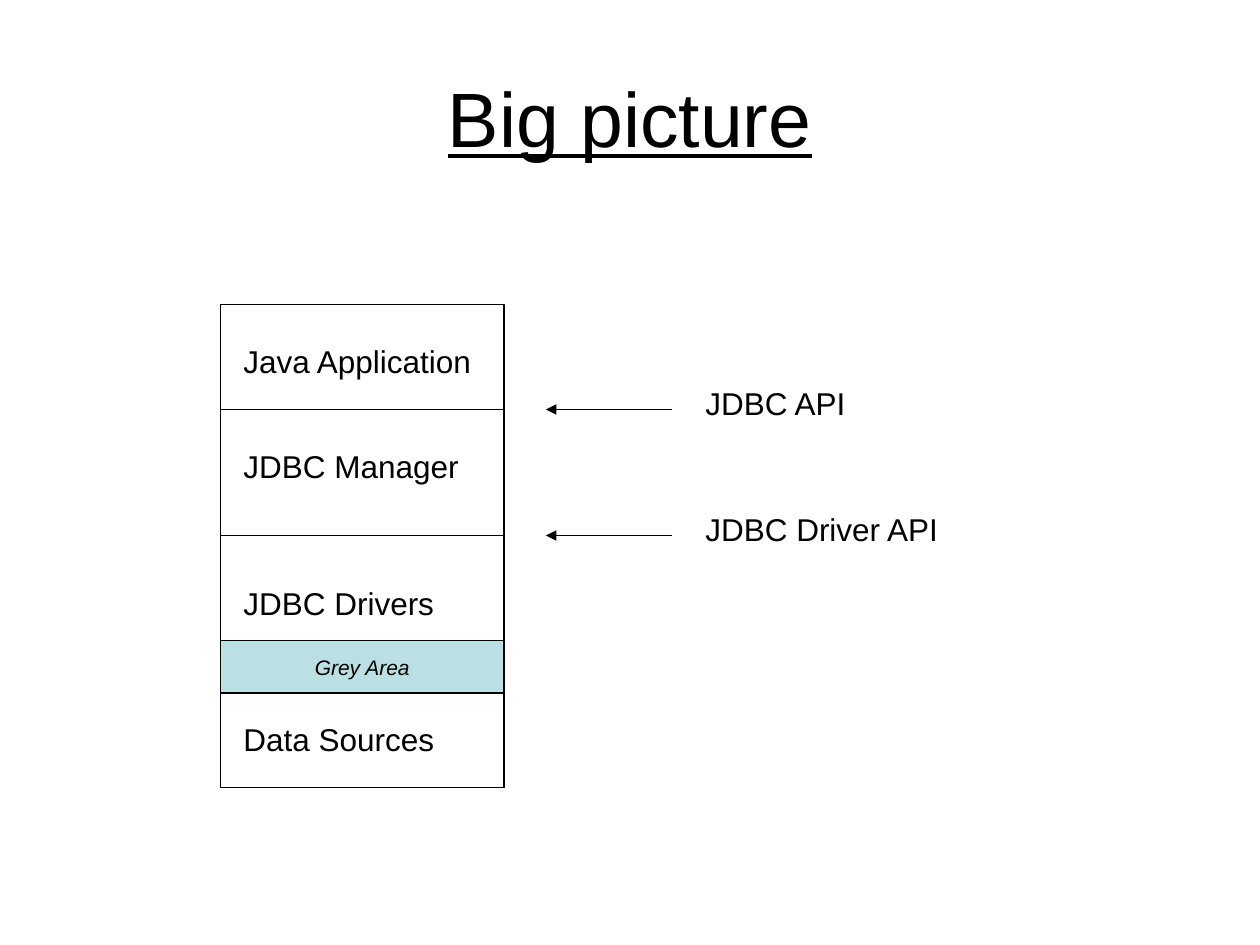
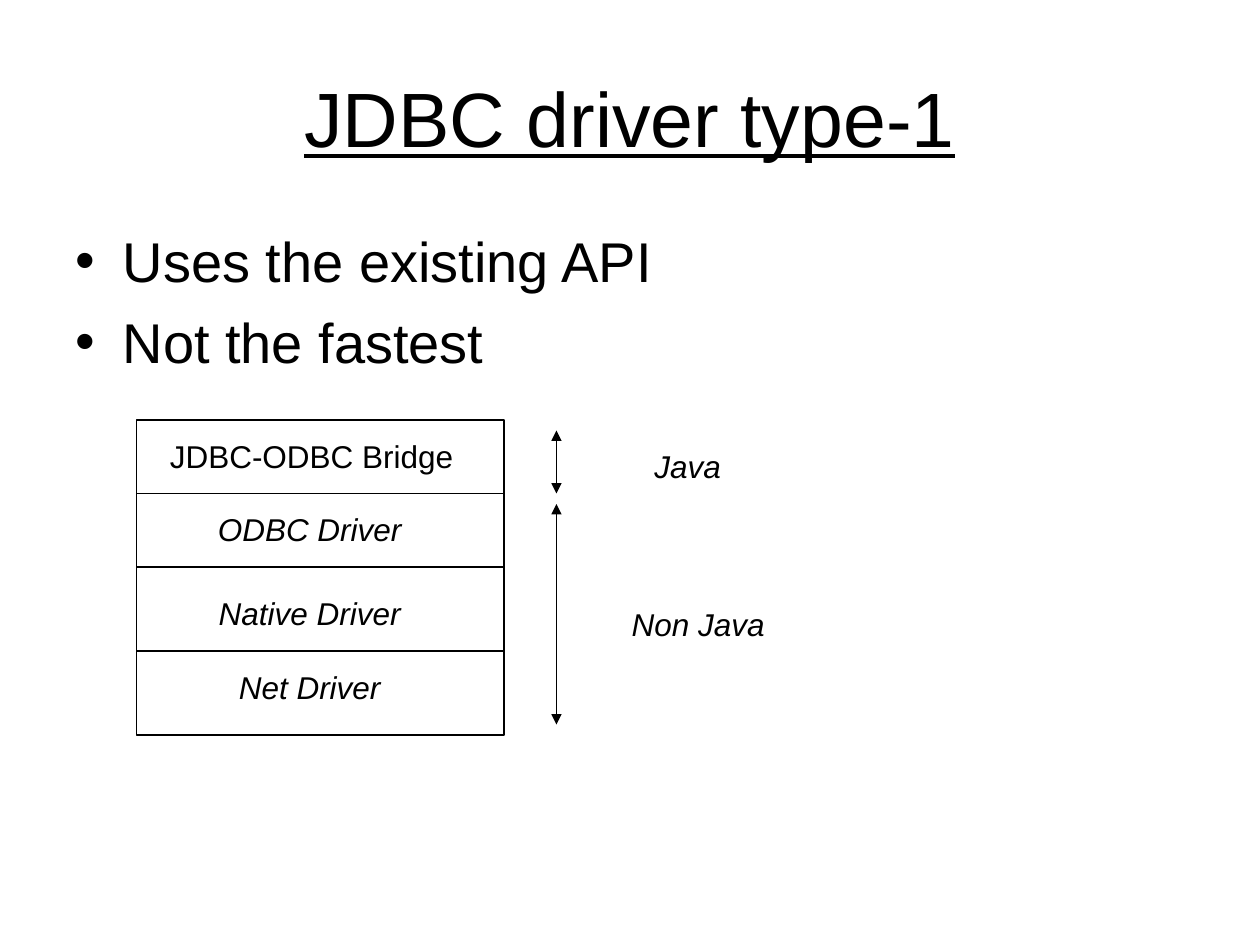
from dataclasses import dataclass

from lxml.etree import SubElement
from pptx import Presentation
from pptx.dml.color import RGBColor
from pptx.enum.shapes import MSO_CONNECTOR, MSO_SHAPE
from pptx.enum.text import MSO_ANCHOR, MSO_AUTO_SIZE, PP_ALIGN
from pptx.oxml.ns import qn
from pptx.shapes.autoshape import Shape
from pptx.slide import Slide
from pptx.text.text import TextFrame, _Paragraph
from pptx.util import Pt

COLORS = {"ink": "000000", "paper": "FFFFFF", "grey_area": "BBE0E3"}
FONT = "Arial"
LINE_WIDTH = 0.75
LABEL_HEIGHT = 28.8


@dataclass(frozen=True)
class Box:
    left: float
    top: float
    width: float
    height: float


@dataclass(frozen=True)
class Label:
    text: str
    left: float
    top: float
    width: float
    italic: bool = False
    align: PP_ALIGN = PP_ALIGN.LEFT


@dataclass(frozen=True)
class Line:
    x1: float
    y1: float
    x2: float
    y2: float
    head: bool = False
    tail: bool = False


TITLE_BOX = Box(36, 21.6, 648, 90)
BODY_BOX = Box(36, 126, 648, 356.4)

ARCHITECTURE = Box(126, 174, 162, 276)
GREY_AREA = Box(126, 366, 162, 30)
API_LEVELS = (234, 306)
ARCHITECTURE_LABELS = (
    Label("Java Application", 132, 192, 156),
    Label("JDBC Manager", 132, 252, 150),
    Label("JDBC Drivers", 132, 330, 156),
    Label("Data Sources", 132, 408, 138),
    Label("JDBC API", 396, 216, 186),
    Label("JDBC Driver API", 396, 288, 174),
)

DRIVER_STACK = Box(78, 240, 210, 180)
DRIVER_LEVELS = (282, 324, 372)
DRIVER_LABELS = (
    Label("JDBC-ODBC Bridge", 90, 246, 186),
    Label("ODBC Driver", 90, 288, 174, True, PP_ALIGN.CENTER),
    Label("Native Driver", 90, 336, 174, True, PP_ALIGN.CENTER),
    Label("Net Driver", 90, 378, 174, True, PP_ALIGN.CENTER),
    Label("Java", 342, 252, 102, True, PP_ALIGN.CENTER),
    Label("Non Java", 348, 342, 102, True, PP_ALIGN.CENTER),
)
JAVA_SPAN = Line(318, 246, 318, 282, head=True, tail=True)
NON_JAVA_SPAN = Line(318, 288, 318, 414, head=True, tail=True)


def rgb(name: str) -> RGBColor:
    return RGBColor.from_string(COLORS[name])


def add_run(p: _Paragraph, text: str, size: float,
            italic: bool = False, underline: bool = False) -> None:
    r = p.add_run()
    r.text = text
    r.font.name = FONT
    r.font.size = Pt(size)
    r.font.italic = italic
    r.font.underline = underline
    r.font.color.rgb = rgb("ink")


def add_titled_slide(prs: Presentation, title: str) -> Slide:
    s = prs.slides.add_slide(prs.slide_layouts.get_by_name("Title Only"))
    sp = s.shapes.title
    sp.left, sp.top = Pt(TITLE_BOX.left), Pt(TITLE_BOX.top)
    sp.width, sp.height = Pt(TITLE_BOX.width), Pt(TITLE_BOX.height)
    tf = sp.text_frame
    tf.vertical_anchor = MSO_ANCHOR.MIDDLE
    p = tf.paragraphs[0]
    p.alignment = PP_ALIGN.CENTER
    add_run(p, title, 44, underline=True)
    return s


def add_text_frame(s: Slide, box: Box) -> TextFrame:
    sp = s.shapes.add_textbox(Pt(box.left), Pt(box.top), Pt(box.width), Pt(box.height))
    tf = sp.text_frame
    tf.word_wrap = True
    return tf


def add_label(s: Slide, label: Label) -> None:
    tf = add_text_frame(s, Box(label.left, label.top, label.width, LABEL_HEIGHT))
    tf.auto_size = MSO_AUTO_SIZE.SHAPE_TO_FIT_TEXT
    p = tf.paragraphs[0]
    p.alignment = label.align
    p.space_before = Pt(11.2)
    add_run(p, label.text, 18, label.italic)


def add_bullets(s: Slide, box: Box, items: tuple[str, ...]) -> None:
    tf = add_text_frame(s, box)
    for i, item in enumerate(items):
        p = tf.add_paragraph() if i else tf.paragraphs[0]
        p.space_before = Pt(8)
        pPr = p._p.get_or_add_pPr()
        pPr.set("marL", str(Pt(27)))
        pPr.set("indent", str(Pt(-27)))
        SubElement(pPr, qn("a:buFont"), typeface=FONT)
        SubElement(pPr, qn("a:buChar"), char="•")
        add_run(p, item, 32)


def add_rectangle(s: Slide, box: Box, fill: str) -> Shape:
    sp = s.shapes.add_shape(MSO_SHAPE.RECTANGLE, Pt(box.left), Pt(box.top),
                            Pt(box.width), Pt(box.height))
    sp.shadow.inherit = False
    sp.fill.solid()
    sp.fill.fore_color.rgb = rgb(fill)
    sp.line.color.rgb = rgb("ink")
    sp.line.width = Pt(LINE_WIDTH)
    return sp


def add_line(s: Slide, line: Line) -> None:
    sp = s.shapes.add_connector(MSO_CONNECTOR.STRAIGHT, Pt(line.x1), Pt(line.y1),
                                Pt(line.x2), Pt(line.y2))
    sp.line.color.rgb = rgb("ink")
    sp.line.width = Pt(LINE_WIDTH)
    ln = sp.line._get_or_add_ln()
    for tag, wanted in (("a:headEnd", line.head), ("a:tailEnd", line.tail)):
        if wanted:
            SubElement(ln, qn(tag), type="triangle")
    SubElement(sp._element.spPr, qn("a:effectLst"))


def add_stack(s: Slide, box: Box, levels: tuple[float, ...]) -> None:
    """Draw a box divided by a full-width line at each level."""
    add_rectangle(s, box, "paper")
    for y in levels:
        add_line(s, Line(box.left, y, box.left + box.width, y))


def build_big_picture(prs: Presentation) -> None:
    s = add_titled_slide(prs, "Big picture")
    add_stack(s, ARCHITECTURE, API_LEVELS)
    for label in ARCHITECTURE_LABELS:
        add_label(s, label)
    for y in API_LEVELS:
        add_line(s, Line(384, y, 312, y, tail=True))
    tf = add_rectangle(s, GREY_AREA, "grey_area").text_frame
    tf.word_wrap = False
    tf.vertical_anchor = MSO_ANCHOR.MIDDLE
    p = tf.paragraphs[0]
    p.alignment = PP_ALIGN.CENTER
    add_run(p, "Grey Area", 12, italic=True)


def build_driver_type_1(prs: Presentation) -> None:
    s = add_titled_slide(prs, "JDBC driver type-1")
    add_bullets(s, BODY_BOX, ("Uses the existing API", "Not the fastest"))
    add_stack(s, DRIVER_STACK, DRIVER_LEVELS)
    for label in DRIVER_LABELS:
        add_label(s, label)
    for span in (JAVA_SPAN, NON_JAVA_SPAN):
        add_line(s, span)


def main() -> None:
    prs = Presentation()
    prs.slide_width, prs.slide_height = Pt(720), Pt(540)
    build_big_picture(prs)
    build_driver_type_1(prs)
    prs.save("out.pptx")


if __name__ == "__main__":
    main()
